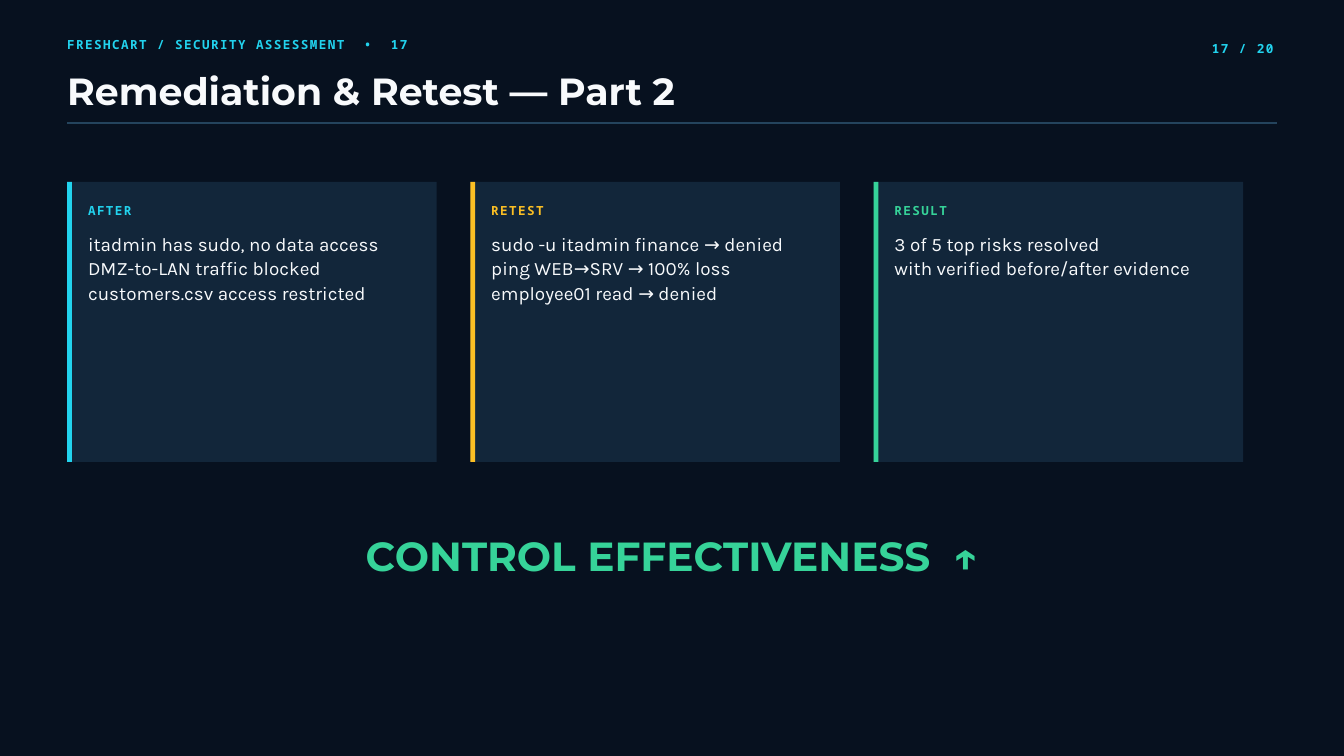
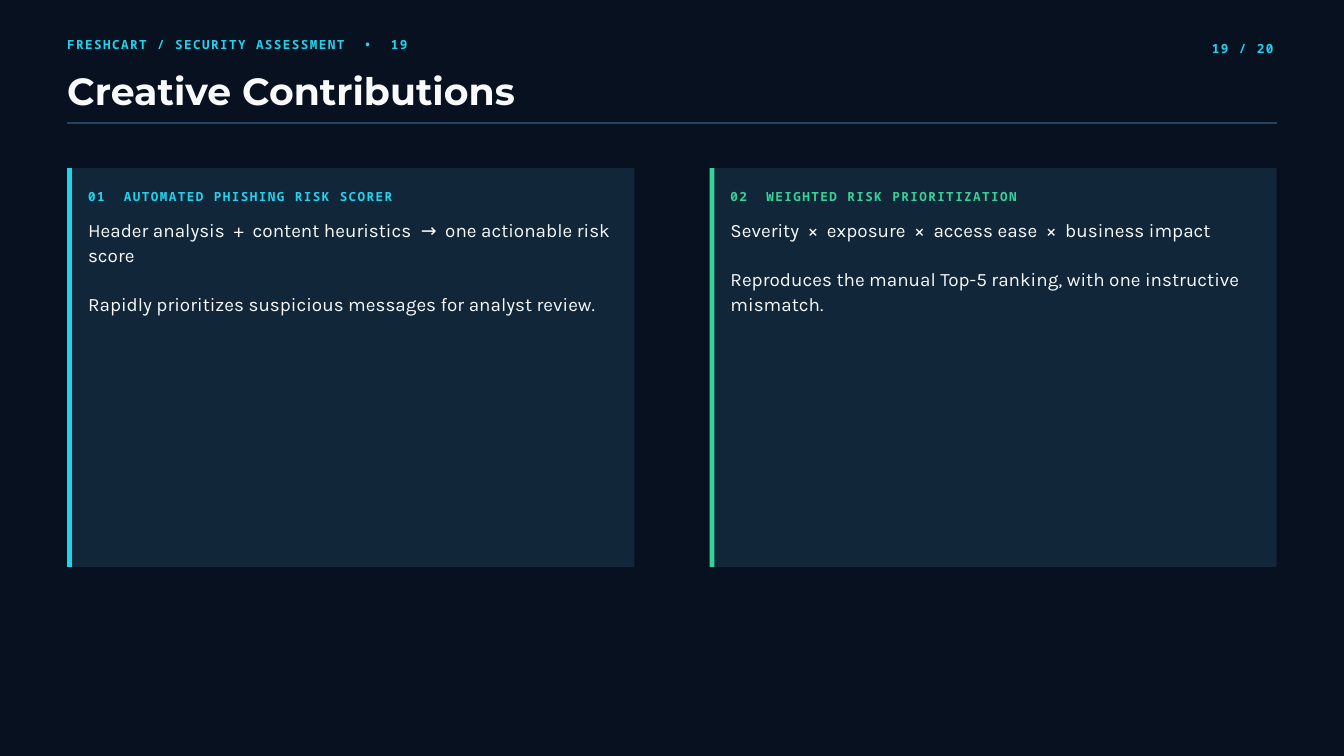
from dataclasses import dataclass

from lxml import etree
from pptx import Presentation
from pptx.dml.color import RGBColor
from pptx.enum.shapes import MSO_CONNECTOR, MSO_SHAPE
from pptx.enum.text import MSO_ANCHOR, MSO_AUTO_SIZE, PP_ALIGN
from pptx.oxml.ns import qn
from pptx.slide import Slide
from pptx.util import Inches, Pt

# Enum members
RECT = MSO_SHAPE.RECTANGLE
STRAIGHT = MSO_CONNECTOR.STRAIGHT
TOP = MSO_ANCHOR.TOP
NO_FIT = MSO_AUTO_SIZE.NONE
LEFT, CENTER, RIGHT = PP_ALIGN.LEFT, PP_ALIGN.CENTER, PP_ALIGN.RIGHT

# Colours and fonts
NAVY = RGBColor(0x07, 0x11, 0x1F)
PANEL = RGBColor(0x12, 0x26, 0x3A)
RULE = RGBColor(0x24, 0x44, 0x5D)
WHITE = RGBColor(0xF8, 0xFA, 0xFC)
CYAN = RGBColor(0x22, 0xD3, 0xEE)
AMBER = RGBColor(0xFB, 0xBF, 0x24)
GREEN = RGBColor(0x36, 0xD3, 0x99)
HEAD_FONT, BODY_FONT, MONO_FONT = "Montserrat", "Karla", "Noto Sans Mono"

# Grid: 20 columns by 45 rows
WIDTH, HEIGHT = Inches(20), Inches(11.25)
COL, ROW = WIDTH / 20, HEIGHT / 45
MARGIN, CONTENT = 1, 18
LABEL_ROWS = 1
BODY_LEADING = 26.3
BODY_ROW = 1.46
COMPARISON_LAYOUT = 4
TOTAL = 20


@dataclass
class Card:
    label: str
    accent: RGBColor
    paragraphs: list[str]
    lines: int


@dataclass
class CardRow:
    top: float
    rows: float
    width: float
    pitch: float
    cards: list[Card]
    gap: float = 0


@dataclass
class Page:
    number: int
    title: str
    cards: CardRow
    banner: str = ""


PAGES = [
    Page(17, "Remediation & Retest — Part 2", CardRow(10.83, 16.67, 5.5, 6, [
        Card("AFTER", CYAN, ["itadmin has sudo, no data access",
                             "DMZ-to-LAN traffic blocked",
                             "customers.csv access restricted"], 3),
        Card("RETEST", AMBER, ["sudo -u itadmin finance → denied",
                               "ping WEB→SRV → 100% loss",
                               "employee01 read → denied"], 3),
        Card("RESULT", GREEN, ["3 of 5 top risks resolved",
                               "with verified before/after evidence"], 2),
    ]), banner="CONTROL EFFECTIVENESS  ↑"),
    Page(19, "Creative Contributions", CardRow(10, 23.75, 8.44, 9.56, [
        Card("01  AUTOMATED PHISHING RISK SCORER", CYAN, [
            "Header analysis  +  content heuristics  →  one actionable risk score",
            "Rapidly prioritizes suspicious messages for analyst review."], 4),
        Card("02  WEIGHTED RISK PRIORITIZATION", GREEN, [
            "Severity  ×  exposure  ×  access ease  ×  business impact",
            "Reproduces the manual Top-5 ranking, with one instructive mismatch."], 4),
    ], gap=BODY_LEADING)),
]


def place(sp, x: float, y: float, w: float, h: float) -> None:
    """Position a shape in grid columns and rows."""
    sp.left, sp.top = round(x * COL), round(y * ROW)
    sp.width, sp.height = round(w * COL), round(h * ROW)


def write(sp, paragraphs: list[str], *, font: str, size: float, leading: float,
          color: RGBColor = WHITE, bold: bool = False, align=LEFT,
          spacing: int = 0, gap: float = 0) -> None:
    """Fill a text box or placeholder with evenly formatted paragraphs."""
    tf = sp.text_frame
    tf.word_wrap, tf.auto_size, tf.vertical_anchor = True, NO_FIT, TOP
    tf.margin_left = tf.margin_right = tf.margin_top = tf.margin_bottom = 0
    for i, text in enumerate(paragraphs):
        p = tf.paragraphs[0] if i == 0 else tf.add_paragraph()
        p_pr = p._p.get_or_add_pPr()
        p_pr.set("marL", "0")
        p_pr.set("indent", "0")
        etree.SubElement(p_pr, qn("a:buNone"))
        p.alignment, p.line_spacing = align, Pt(leading)
        p.space_before, p.space_after = Pt(gap if i else 0), Pt(0)
        r = p.add_run()
        r.text = text
        r.font.name, r.font.size, r.font.bold = font, Pt(size), bold
        r.font.color.rgb = color
        if spacing:
            r._r.get_or_add_rPr().set("spc", str(spacing))


def add_text(slide: Slide, text: str, x: float, y: float, w: float, h: float,
             **style) -> None:
    sp = slide.shapes.add_textbox(0, 0, 0, 0)
    place(sp, x, y, w, h)
    write(sp, [text], **style)


def add_label(slide: Slide, text: str, x: float, y: float, w: float,
              color: RGBColor = CYAN, align=LEFT) -> None:
    add_text(slide, text, x, y, w, LABEL_ROWS, font=MONO_FONT, size=13.5,
             leading=18.9, color=color, bold=True, align=align, spacing=160)


def add_block(slide: Slide, x: float, y: float, w: float, h: float,
              color: RGBColor) -> None:
    sp = slide.shapes.add_shape(RECT, 0, 0, 0, 0)
    place(sp, x, y, w, h)
    sp.shadow.inherit = False
    sp.fill.solid()
    sp.fill.fore_color.rgb = color
    sp.line.fill.background()


def add_header(slide: Slide, page: Page) -> None:
    add_label(slide, f"FRESHCART / SECURITY ASSESSMENT  •  {page.number}",
              MARGIN, 2.04, 9.38)
    title = slide.shapes.title
    place(title, MARGIN, 4.36, 15.62, 2.36)
    write(title, [page.title], font=HEAD_FONT, size=40.5, leading=42.5, bold=True)
    add_label(slide, f"{page.number} / {TOTAL}", 17.6, 2.28, 1.35, align=RIGHT)

    y = round(7.32 * ROW)
    rule = slide.shapes.add_connector(
        STRAIGHT, round(MARGIN * COL), y, round((MARGIN + CONTENT) * COL), y)
    rule.line.color.rgb, rule.line.width = RULE, Pt(1.5)
    etree.SubElement(rule._element.spPr, qn("a:effectLst"))


def add_cards(slide: Slide, row: CardRow) -> None:
    bodies = [sp for sp in slide.placeholders if sp.placeholder_format.idx > 0]
    for i, (card, body) in enumerate(zip(row.cards, bodies)):
        x = MARGIN + i * row.pitch
        text_x, text_w = x + 0.31, row.width - 0.62
        add_block(slide, x, row.top, row.width, row.rows, PANEL)
        add_block(slide, x, row.top, 0.07, row.rows, card.accent)
        add_label(slide, card.label, text_x, row.top + 1.08, text_w, card.accent)
        place(body, text_x, row.top + 2.9, text_w, card.lines * BODY_ROW)
        write(body, card.paragraphs, font=BODY_FONT, size=20.25,
              leading=BODY_LEADING, gap=row.gap)
        # Bring the list in front of its panel
        body.element.getparent().append(body.element)
    for sp in bodies[len(row.cards):]:
        sp.element.getparent().remove(sp.element)


def main() -> None:
    prs = Presentation()
    prs.slide_width, prs.slide_height = WIDTH, HEIGHT
    fill = prs.slide_master.background.fill
    fill.solid()
    fill.fore_color.rgb = NAVY
    for page in PAGES:
        slide = prs.slides.add_slide(prs.slide_layouts[COMPARISON_LAYOUT])
        add_header(slide, page)
        add_cards(slide, page.cards)
        if page.banner:
            add_text(slide, page.banner, MARGIN, 31.96, CONTENT, 2.56,
                     font=HEAD_FONT, size=43.5, leading=45.7, color=GREEN,
                     bold=True, align=CENTER)
    prs.save("out.pptx")


if __name__ == "__main__":
    main()
